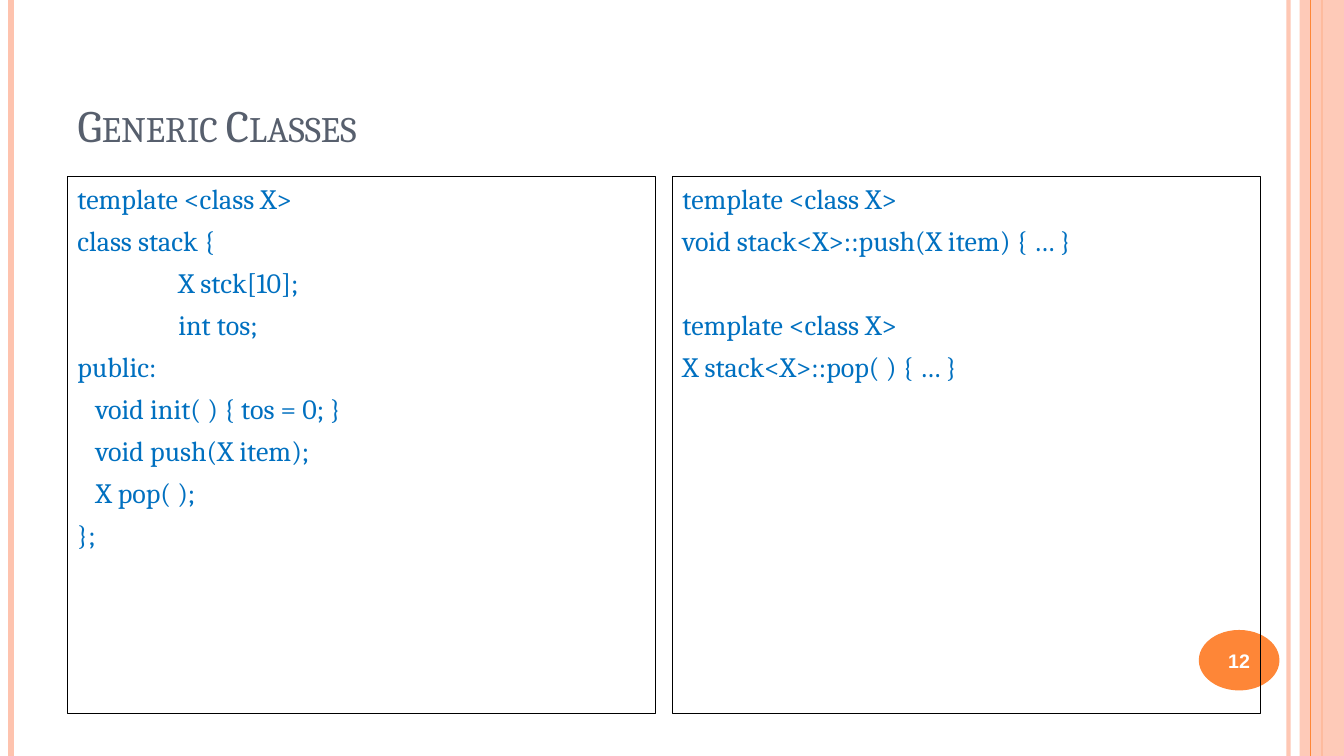
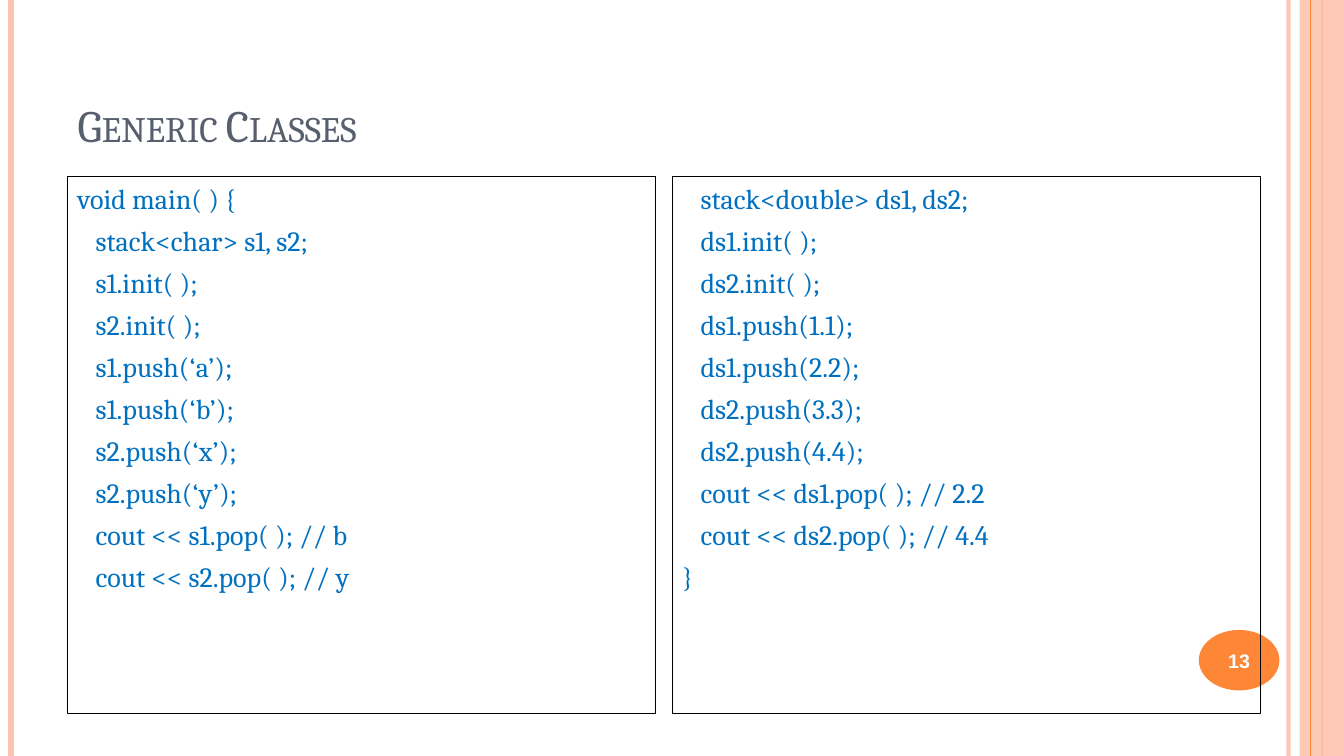
from pptx import Presentation
from pptx.dml.color import RGBColor
from pptx.enum.shapes import MSO_CONNECTOR, MSO_SHAPE
from pptx.enum.text import MSO_ANCHOR, MSO_AUTO_SIZE, PP_ALIGN
from pptx.oxml.ns import qn
from pptx.oxml.xmlchemy import OxmlElement
from pptx.util import Inches, Pt

STRAIGHT = MSO_CONNECTOR.STRAIGHT
RECT, OVAL = MSO_SHAPE.RECTANGLE, MSO_SHAPE.OVAL
TOP, MIDDLE, BOTTOM = MSO_ANCHOR.TOP, MSO_ANCHOR.MIDDLE, MSO_ANCHOR.BOTTOM
LEFT, CENTER = PP_ALIGN.LEFT, PP_ALIGN.CENTER
NO_FIT = MSO_AUTO_SIZE.NONE

WIDTH, HEIGHT = 13.33, 7.5
PEACH, ORANGE, SLATE, BLUE, BLACK, WHITE = (
    "FEC3AE", "FE8637", "575F6D", "0070C0", "000000", "FFFFFF")

TITLE_BOX = (0.67, 0.3, 11.22, 1.25)
CODE_BOX = (0.67, 1.75, 11.83, 5.33)
BADGE_BOX = (11.89, 6.25, 0.8, 0.6)
BAND_BOX = (12.89, 0, 0.44, HEIGHT)
COLUMN_GAP = 0.17
STEP, TAB = 0.18, 1.0
LINE_GAP, BLOCK_GAP = 6, 36

TITLE_FONT = {"name": "Cambria", "size": Pt(32), "bold": False, "color": SLATE}
CODE_FONT = {"name": "Cambria", "size": Pt(20), "bold": False, "color": BLUE}
NUMBER_FONT = {"name": "Arial", "size": Pt(14), "bold": True, "color": WHITE}

RULES_BEHIND = [(12.78, PEACH, 3, 93), (0.11, PEACH, 4.5, 100),
                (13.11, ORANGE, 1.5, 100)]
RULES_FRONT = [(13, ORANGE, 0.75, 100)]

SLIDES = [
    ("Generic Classes", 12, [
        [(0, "template <class X>"),
         (0, "class stack {"),
         (TAB, "X stck[10];"),
         (TAB, "int tos;"),
         (0, "public:"),
         (STEP, "void init( ) { tos = 0; }"),
         (STEP, "void push(X item);"),
         (STEP, "X pop( );"),
         (0, "};")],
        [(0, "template <class X>"),
         (0, "void stack<X>::push(X item) { … }"),
         (0, "template <class X>", BLOCK_GAP),
         (0, "X stack<X>::pop( ) { … }")],
    ]),
    ("Generic Classes", 13, [
        [(0, "void main( ) {"),
         (STEP, "stack<char> s1, s2;"),
         (STEP, "s1.init( );"),
         (STEP, "s2.init( );"),
         (STEP, "s1.push(‘a’);"),
         (STEP, "s1.push(‘b’);"),
         (STEP, "s2.push(‘x’);"),
         (STEP, "s2.push(‘y’);"),
         (STEP, "cout << s1.pop( ); // b"),
         (STEP, "cout << s2.pop( ); // y")],
        [(STEP, "stack<double> ds1, ds2;"),
         (STEP, "ds1.init( );"),
         (STEP, "ds2.init( );"),
         (STEP, "ds1.push(1.1);"),
         (STEP, "ds1.push(2.2);"),
         (STEP, "ds2.push(3.3);"),
         (STEP, "ds2.push(4.4);"),
         (STEP, "cout << ds1.pop( ); // 2.2"),
         (STEP, "cout << ds2.pop( ); // 4.4"),
         (0, "}")],
    ]),
]


def paint(color, value):
    color.rgb = RGBColor.from_string(value)


def set_opacity(sp, percent):
    if percent < 100:
        alpha = OxmlElement("a:alpha")
        alpha.set("val", str(percent * 1000))
        next(sp._element.spPr.iter(qn("a:srgbClr"))).append(alpha)


def format_font(font, values):
    for key, value in values.items():
        if key == "color":
            paint(font.color, value)
        else:
            setattr(font, key, value)


def format_frame(tf, anchor):
    values = {"word_wrap": True, "auto_size": NO_FIT, "vertical_anchor": anchor,
              "margin_left": Inches(0.1), "margin_right": Inches(0.1),
              "margin_top": Inches(0.05), "margin_bottom": Inches(0.05)}
    for key, value in values.items():
        setattr(tf, key, value)


def write(p, text, font, align=LEFT):
    p.alignment = align
    r = p.add_run()
    r.text = text
    format_font(r.font, font)
    return r


def add_box(s, kind, box, fill=None, line=None):
    sp = s.shapes.add_shape(kind, *map(Inches, box))
    sp.shadow.inherit = False
    if fill:
        sp.fill.solid()
        paint(sp.fill.fore_color, fill)
    else:
        sp.fill.background()
    if line:
        paint(sp.line.color, line)
        sp.line.width = Pt(0.75)
    else:
        sp.line.fill.background()
    return sp


def add_rules(s, rules):
    for x, color, width, opacity in rules:
        rule = s.shapes.add_connector(
            STRAIGHT, Inches(x), 0, Inches(x), Inches(HEIGHT))
        paint(rule.line.color, color)
        rule.line.width = Pt(width)
        set_opacity(rule, opacity)
        rule._element.spPr.append(OxmlElement("a:effectLst"))


def add_frame(s):
    add_rules(s, RULES_BEHIND)
    set_opacity(add_box(s, RECT, BAND_BOX, fill=PEACH), 87)
    add_rules(s, RULES_FRONT)


def add_badge(s, box, number):
    tf = add_box(s, OVAL, box, fill=ORANGE).text_frame
    format_frame(tf, MIDDLE)
    write(tf.paragraphs[0], str(number), NUMBER_FONT, CENTER)


def set_title(s, box, text):
    sp = s.shapes.title
    sp.left, sp.top, sp.width, sp.height = map(Inches, box)
    format_frame(sp.text_frame, BOTTOM)
    r = write(sp.text_frame.paragraphs[0], text, TITLE_FONT)
    r.font._element.set("cap", "small")


def add_code(s, box, lines):
    tf = add_box(s, RECT, box, line=BLACK).text_frame
    format_frame(tf, TOP)
    for i, (indent, text, *gap) in enumerate(lines):
        p = tf.add_paragraph() if i else tf.paragraphs[0]
        p.space_before = Pt(gap[0] if gap else LINE_GAP)
        p._p.get_or_add_pPr().set("marL", str(Inches(indent)))
        write(p, text, CODE_FONT)


def add_columns(s, box, columns):
    x, y, w, h = box
    width = (w - COLUMN_GAP * (len(columns) - 1)) / len(columns)
    for i, lines in enumerate(columns):
        add_code(s, (x + i * (width + COLUMN_GAP), y, width, h), lines)


def add_code_slide(prs, title, number, columns):
    s = prs.slides.add_slide(prs.slide_layouts[5])
    add_frame(s)
    add_badge(s, BADGE_BOX, number)
    set_title(s, TITLE_BOX, title)
    add_columns(s, CODE_BOX, columns)


def main():
    prs = Presentation()
    prs.slide_width, prs.slide_height = Inches(WIDTH), Inches(HEIGHT)
    for title, number, columns in SLIDES:
        add_code_slide(prs, title, number, columns)
    prs.save("out.pptx")


if __name__ == "__main__":
    main()
